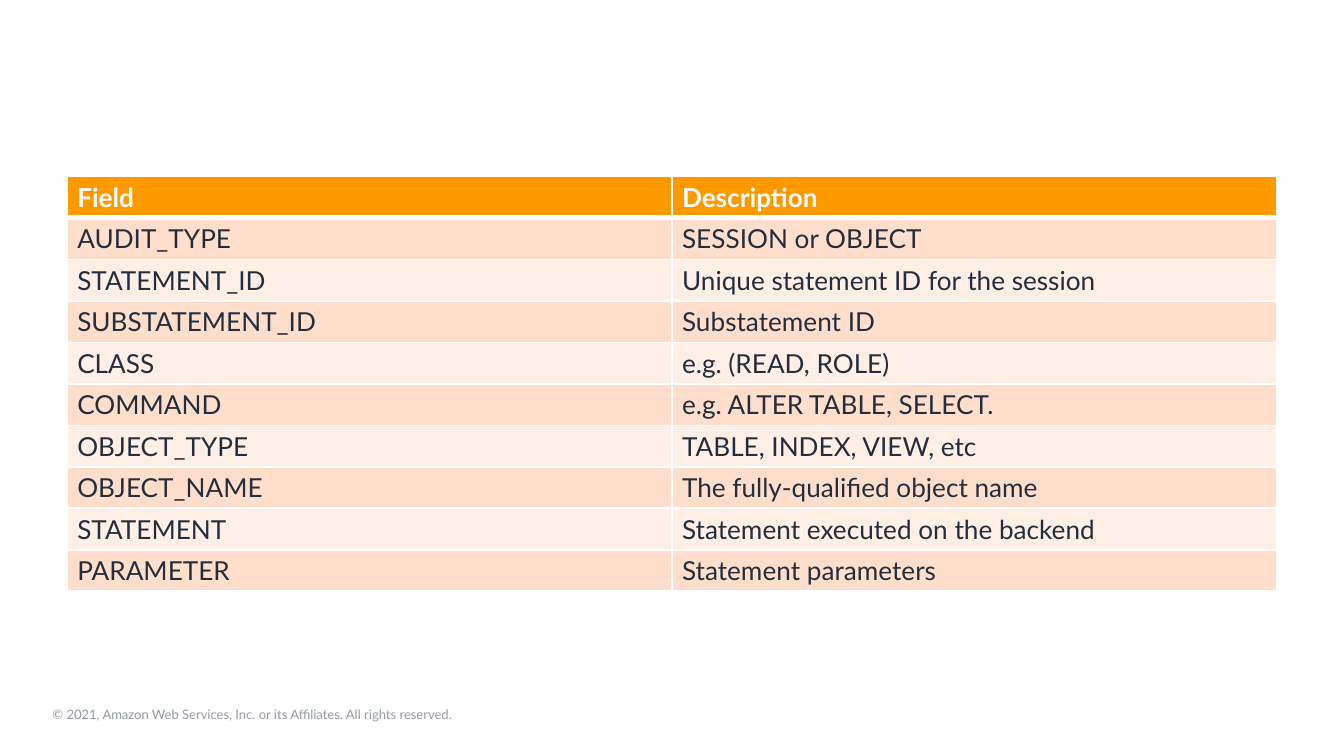
from lxml import etree
from pptx import Presentation
from pptx import util as u
from pptx.dml.color import RGBColor
from pptx.oxml.ns import qn

# Content
HEADINGS = ("Field", "Description")
AUDIT_FIELDS = [
    ("AUDIT_TYPE", "SESSION or OBJECT"),
    ("STATEMENT_ID", "Unique statement ID for the session"),
    ("SUBSTATEMENT_ID", "Substatement ID"),
    ("CLASS", "e.g. (READ, ROLE)"),
    ("COMMAND", "e.g. ALTER TABLE, SELECT."),
    ("OBJECT_TYPE", "TABLE, INDEX, VIEW, etc"),
    ("OBJECT_NAME", "The fully-qualified object name"),
    ("STATEMENT", "Statement executed on the backend"),
    ("PARAMETER", "Statement parameters"),
]
COPYRIGHT = "© 2021, Amazon Web Services, Inc. or its Affiliates. All rights reserved."

# Formats: a 16:9 slide
WIDTH = u.Inches(10)
HEIGHT = WIDTH * 9 // 16
HEADING_FILL, BAND_FILLS = "FF9900", ("FFDECC", "FFEFE7")
RULE = "FFFFFF"
HEADING_FONT = {"name": "Lato", "size": u.Pt(14), "bold": True, "color": "FFFFFF"}
FIELD_FONT = {**HEADING_FONT, "bold": False, "color": "232F3E"}
COPYRIGHT_FONT = {"name": "Lato", "size": u.Pt(7), "color": "959CA6"}
CELL_MARGINS = {"margin_left": u.Pt(5.4), "margin_right": u.Pt(5.4),
                "margin_top": u.Pt(2.7), "margin_bottom": u.Pt(2.7)}


def colour(value):
    return RGBColor.from_string(value)


def set_all(target, formats):
    for key, value in formats.items():
        if key == "color":
            target.color.rgb = colour(value)
        else:
            setattr(target, key, value)


def write(paragraph, words, formats):
    run = paragraph.add_run()
    run.text = words
    set_all(run.font, formats)


def add_borders(cell, widths):
    """Put the left, right, top and bottom rules ahead of the cell fill."""
    properties = cell._tc.get_or_add_tcPr()
    for place, (side, points) in enumerate(widths.items()):
        line = etree.Element(qn(f"a:ln{side}"), w=str(u.Pt(points)))
        fill = etree.SubElement(line, qn("a:solidFill"))
        etree.SubElement(fill, qn("a:srgbClr"), val=RULE)
        properties.insert(place, line)


deck = Presentation()
deck.slide_width, deck.slide_height = WIDTH, HEIGHT
slide = deck.slides.add_slide(deck.slide_layouts[6])

# Copyright line
footer = slide.shapes.add_textbox(u.Inches(0.39), u.Inches(5.26),
                                  u.Inches(3.31), u.Inches(0.12)).text_frame
set_all(footer, {"word_wrap": True, "margin_left": 0, "margin_right": 0,
                 "margin_top": 0, "margin_bottom": 0})
write(footer.paragraphs[0], COPYRIGHT, COPYRIGHT_FONT)

# Table of audit fields
rows = [HEADINGS, *AUDIT_FIELDS]
side_margin = int(WIDTH * 0.05)
audit_table = slide.shapes.add_table(
    len(rows), len(HEADINGS), side_margin, HEIGHT * 7 // 30,
    WIDTH - 2 * side_margin, u.Inches(3.08)).table

for r, row in enumerate(rows):
    is_heading = r == 0
    for c, words in enumerate(row):
        cell = audit_table.cell(r, c)
        set_all(cell, CELL_MARGINS)
        cell.fill.solid()
        cell.fill.fore_color.rgb = colour(
            HEADING_FILL if is_heading else BAND_FILLS[(r - 1) % 2])
        add_borders(cell, {"L": 1, "R": 1, "T": 3 if r == 1 else 1,
                           "B": 3 if is_heading else 1})
        write(cell.text_frame.paragraphs[0], words,
              HEADING_FONT if is_heading else FIELD_FONT)

deck.save("out.pptx")
